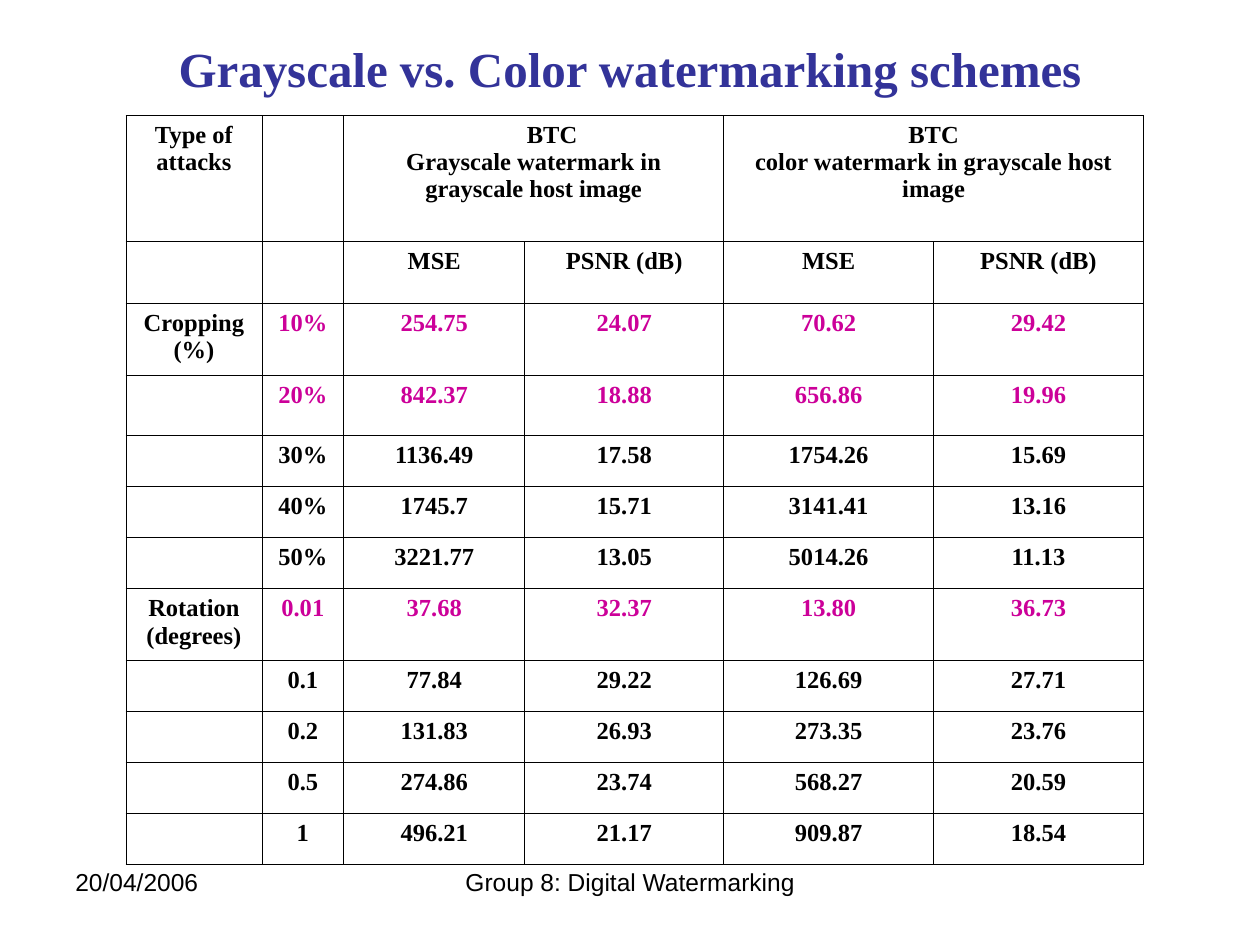
import pptx
import pptx.dml.color
import pptx.enum.text
import pptx.oxml
import pptx.oxml.ns
import pptx.util

Cm = pptx.util.Cm
Pt = pptx.util.Pt
Align = pptx.enum.text.PP_ALIGN
Anchor = pptx.enum.text.MSO_ANCHOR

SERIF = "Times New Roman"
BLACK = "000000"
PINK = "CC0099"
NAVY = "333399"

COLS = [2.74, 1.65, 3.65, 4.01, 4.23, 4.23]
ROWS = [2.54, 1.25, 1.45, 1.21, 1.03, 1.03, 1.03, 1.43, 1.03, 1.03, 1.03, 0.97]
BRIGHT = {2, 3, 7}
DATA = [
    ["Type of attacks", "", "BTC\nGrayscale watermark in grayscale host image", "",
     "BTC\ncolor watermark in grayscale host image", ""],
    ["", "", "MSE", "PSNR (dB)", "MSE", "PSNR (dB)"],
    ["Cropping (%)", "10%", "254.75", "24.07", "70.62", "29.42"],
    ["", "20%", "842.37", "18.88", "656.86", "19.96"],
    ["", "30%", "1136.49", "17.58", "1754.26", "15.69"],
    ["", "40%", "1745.7", "15.71", "3141.41", "13.16"],
    ["", "50%", "3221.77", "13.05", "5014.26", "11.13"],
    ["Rotation (degrees)", "0.01", "37.68", "32.37", "13.80", "36.73"],
    ["", "0.1", "77.84", "29.22", "126.69", "27.71"],
    ["", "0.2", "131.83", "26.93", "273.35", "23.76"],
    ["", "0.5", "274.86", "23.74", "568.27", "20.59"],
    ["", "1", "496.21", "21.17", "909.87", "18.54"],
]


def tint(code):
    return pptx.dml.color.RGBColor.from_string(code)


class Page:
    def __init__(self, deck):
        self.slide = deck.slides.add_slide(deck.slide_layouts[6])
        self.size = 14
        self.rule = 0.45

    def style(self, frame, font, size, color, bold, align):
        for para in frame.paragraphs:
            para.alignment = align
            for run in para.runs:
                run.font.name = font
                run.font.size = Pt(size)
                run.font.bold = bold
                run.font.color.rgb = tint(color)

    def text(self, words, box, font="Arial", size=None, color=BLACK, bold=False,
             align=Align.CENTER, anchor=Anchor.TOP):
        frame = self.slide.shapes.add_textbox(*map(Cm, box)).text_frame
        frame.word_wrap = True
        frame.vertical_anchor = anchor
        frame.text = words
        self.style(frame, font, size or self.size, color, bold, align)

    def border(self, cell):
        props = cell._tc.get_or_add_tcPr()
        for side in ("lnL", "lnR", "lnT", "lnB"):
            props.append(pptx.oxml.parse_xml(
                f'<a:{side} {pptx.oxml.ns.nsdecls("a")} w="{Pt(self.rule)}">'
                f'<a:solidFill><a:srgbClr val="{BLACK}"/></a:solidFill></a:{side}>'))
        cell.fill.background()

    def table(self, left, top, data, cols, rows, bright):
        grid = self.slide.shapes.add_table(
            len(rows), len(cols), Cm(left), Cm(top), Cm(sum(cols)), Cm(sum(rows))).table
        grid.first_row = grid.horz_banding = False
        for col, width in zip(grid.columns, cols):
            col.width = Cm(width)
        for row, height in zip(grid.rows, rows):
            row.height = Cm(height)
        for r, line in enumerate(data):
            for c, words in enumerate(line):
                cell = grid.cell(r, c)
                self.border(cell)
                if words:
                    cell.text_frame.text = words
                    color = PINK if r in bright and c else BLACK
                    self.style(cell.text_frame, SERIF, self.size, color, True, Align.CENTER)
        return grid


def main():
    deck = pptx.Presentation()
    deck.slide_width, deck.slide_height = Cm(25.4), Cm(19.05)
    page = Page(deck)
    page.text("Grayscale vs. Color watermarking schemes", (1.27, 0.2, 22.86, 2.34),
              SERIF, 28, NAVY, True, anchor=Anchor.MIDDLE)
    grid = page.table(2.54, 2.33, DATA, COLS, ROWS, BRIGHT)
    for c in (2, 4):
        grid.cell(0, c).merge(grid.cell(0, c + 1))
    head = grid.cell(0, 2).text_frame.paragraphs[0]
    head._p.get_or_add_pPr().set("marL", str(Cm(0.74)))
    page.text("Group 8: Digital Watermarking", (8.68, 17.35, 8.05, 1.32))
    page.text("20/04/2006", (1.27, 17.35, 5.92, 1.32), align=Align.LEFT)
    deck.save("out.pptx")


if __name__ == "__main__":
    main()
